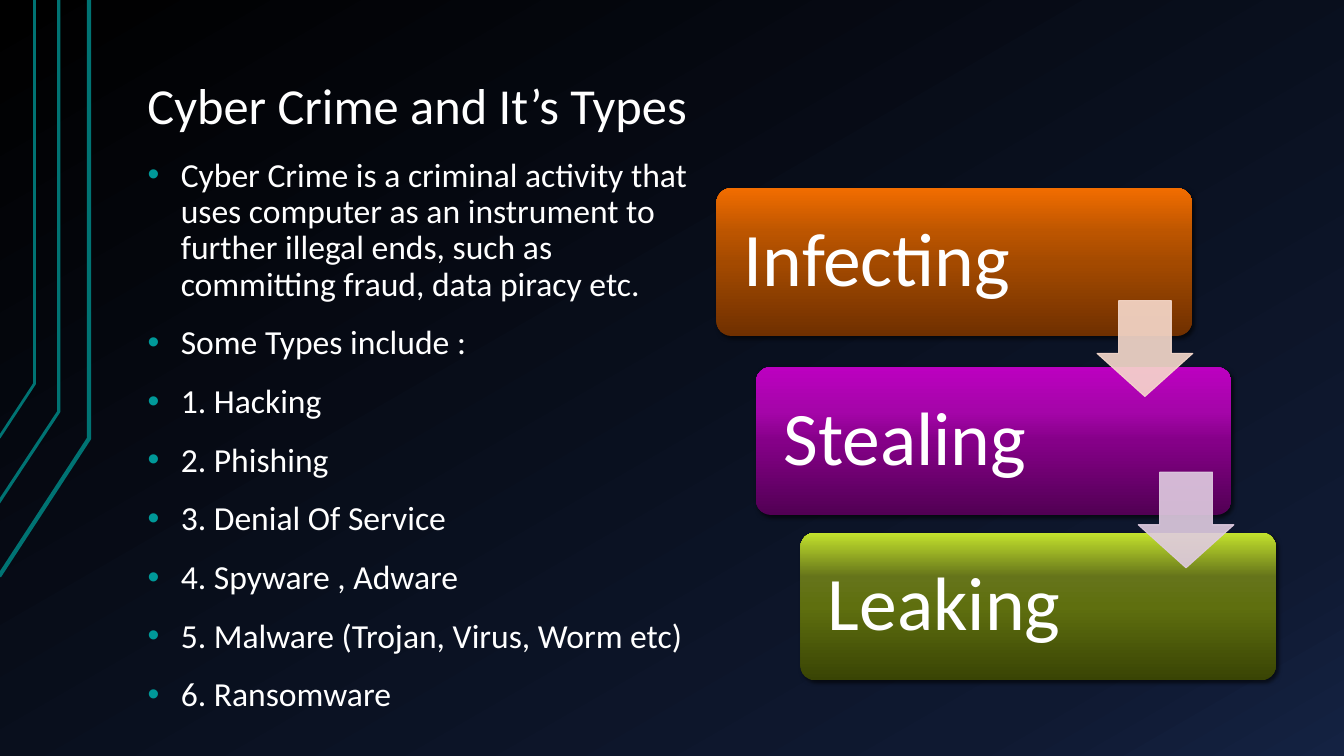
from typing import NamedTuple

from lxml.etree import SubElement as Sub
from pptx import Presentation
from pptx.dml.color import RGBColor as Rgb
from pptx.enum.shapes import MSO_SHAPE as Kind
from pptx.enum.text import MSO_ANCHOR as Anchor
from pptx.oxml.ns import qn
from pptx.util import Emu, Inches, Pt

# Grid of 160 columns by 90 rows, square cells
WIDE, HIGH = Inches(13.333), Inches(7.5)
COLS, ROWS = 160, 90
FONT, WHITE, TEAL, MINT = "Calibri", "FFFFFF", "007373", "009999"
STOPS = (0, 50, 70, 100)


class Trace(NamedTuple):
    left: float
    foot: float
    right: float
    bend: float
    width: float


class Step(NamedTuple):
    text: str
    col: float
    row: float
    tones: tuple[str, ...]


class Arrow(NamedTuple):
    col: float
    row: float
    tone: str


TRACES = (
    Trace(-0.1, 68.6, 10.6, 52.2, 3),
    Trace(-0.2, 59.9, 7, 49, 2.25),
    Trace(-0.1, 52.1, 4.1, 45.7, 2),
)
STEPS = (
    Step("Infecting", 85.3, 22.4, ("703000", "A44A00", "BC5500", "F26D00")),
    Step("Stealing", 90, 43.7, ("520054", "850088", "A505A9", "BC00C0")),
    Step("Leaking", 95.3, 63.4, ("394404", "5F6F0F", "65741A", "C4E32D")),
)
ARROWS = (Arrow(130.6, 35.8, "F7DACC"), Arrow(135.5, 56.2, "E0CCE1"))
TITLE = "Cyber Crime and It’s Types"
POINTS = (
    "Cyber Crime is a criminal activity that uses computer as an instrument "
    "to further illegal ends, such as committing fraud, data piracy etc.",
    "Some Types include :",
    "1. Hacking",
    "2. Phishing",
    "3. Denial Of Service",
    "4. Spyware , Adware",
    "5. Malware (Trojan, Virus, Worm etc)",
    "6. Ransomware",
)


def hue(code: str) -> Rgb:
    return Rgb.from_string(code)


def across(col: float) -> Emu:
    return Emu(round(WIDE * col / COLS))


def down(row: float) -> Emu:
    return Emu(round(HIGH * row / ROWS))


def area(col: float, row: float, cols: float, rows: float) -> tuple:
    return across(col), down(row), across(cols), down(rows)


def blend(fill, root, stops, angle: int) -> None:
    """Gradient with any number of stops; angle runs clockwise."""
    fill.gradient()
    fill.gradient_angle = 360 - angle
    items = next(root.iter(qn("a:gsLst")))
    for old in list(items):
        items.remove(old)
    for place, tone in stops:
        stop = Sub(items, qn("a:gs"), pos=str(place * 1000))
        Sub(stop, qn("a:srgbClr"), val=tone)


def shade(shape) -> None:
    effects = shape._element.spPr.find(qn("a:effectLst"))
    outer = Sub(effects, qn("a:outerShdw"), blurRad=str(Pt(3)),
                dist=str(Pt(2)), dir=str(45 * 60000), rotWithShape="0")
    tone = Sub(outer, qn("a:srgbClr"), val="000000")
    Sub(tone, qn("a:alpha"), val="60000")


def bullet(para) -> None:
    props = para._p.get_or_add_pPr()
    props.set("marL", str(Inches(0.33)))
    props.set("indent", str(-Inches(0.33)))
    tone = Sub(props, qn("a:buClr"))
    Sub(tone, qn("a:srgbClr"), val=MINT)
    Sub(props, qn("a:buFont"), typeface="Arial")
    Sub(props, qn("a:buChar"), char="•")


def write(slide, place: tuple, lines: tuple[str, ...], size: float,
          anchor: Anchor, inset: tuple[float, float],
          dots: bool = False) -> None:
    frame = slide.shapes.add_textbox(*place).text_frame
    frame.word_wrap = True
    frame.vertical_anchor = anchor
    frame.margin_left = frame.margin_right = Inches(inset[0])
    frame.margin_top = frame.margin_bottom = Inches(inset[1])
    for index, line in enumerate(lines):
        para = frame.add_paragraph() if index else frame.paragraphs[0]
        para.text = line
        para.line_spacing = 0.9
        if index:
            para.space_before = Pt(16)
        if dots:
            bullet(para)
        font = para.font
        font.name, font.size = FONT, Pt(size)
        font.color.rgb = hue(WHITE)


def trace(slide, item: Trace) -> None:
    pen = slide.shapes.build_freeform(across(item.left), down(item.foot))
    pen.add_line_segments([(across(item.right), down(item.bend)),
                           (across(item.right), 0)], close=False)
    shape = pen.convert_to_shape()
    shape.shadow.inherit = False
    shape.fill.background()
    shape.line.color.rgb = hue(TEAL)
    shape.line.width = Pt(item.width)


def step(slide, item: Step) -> None:
    place = area(item.col, item.row, 56.6, 17.6)
    box = slide.shapes.add_shape(Kind.ROUNDED_RECTANGLE, *place)
    box.adjustments[0] = 0.1
    box.shadow.inherit = False
    box.line.fill.background()
    blend(box.fill, box._element, zip(STOPS, item.tones), 270)
    shade(box)
    write(slide, area(item.col + 0.5, item.row + 0.5, 39.2, 16.6),
          (item.text,), 54, Anchor.MIDDLE, (0.23, 0.23))


def arrow(slide, item: Arrow) -> None:
    place = area(item.col, item.row, 11.4, 11.4)
    shape = slide.shapes.add_shape(Kind.DOWN_ARROW, *place)
    shape.adjustments[0], shape.adjustments[1] = 0.55, 0.45
    shape.shadow.inherit = False
    shape.fill.solid()
    shape.fill.fore_color.rgb = hue(item.tone)
    shape.line.color.rgb = hue(item.tone)
    shape.line.width = Pt(0.75)
    for tone in shape._element.spPr.iter(qn("a:srgbClr")):
        Sub(tone, qn("a:alpha"), val="90000")


def main() -> None:
    deck = Presentation()
    deck.slide_width, deck.slide_height = WIDE, HIGH
    slide = deck.slides.add_slide(deck.slide_layouts[6])

    # Backdrop and circuit lines
    night = ((0, "000000"), (85, "0F1931"), (100, "142242"))
    blend(slide.background.fill, slide._element, night, 60)
    for item in TRACES:
        trace(slide, item)

    # Title and bullet list
    pad = (0.13, 0.07)
    write(slide, area(16, 3.6, 136, 13.4), (TITLE,), 36, Anchor.BOTTOM, pad)
    write(slide, area(16, 18, 68, 69), POINTS, 24, Anchor.TOP, pad, True)

    # Staggered steps, then the arrows over them
    for item in STEPS:
        step(slide, item)
    for item in ARROWS:
        arrow(slide, item)

    deck.save("out.pptx")


if __name__ == "__main__":
    main()
